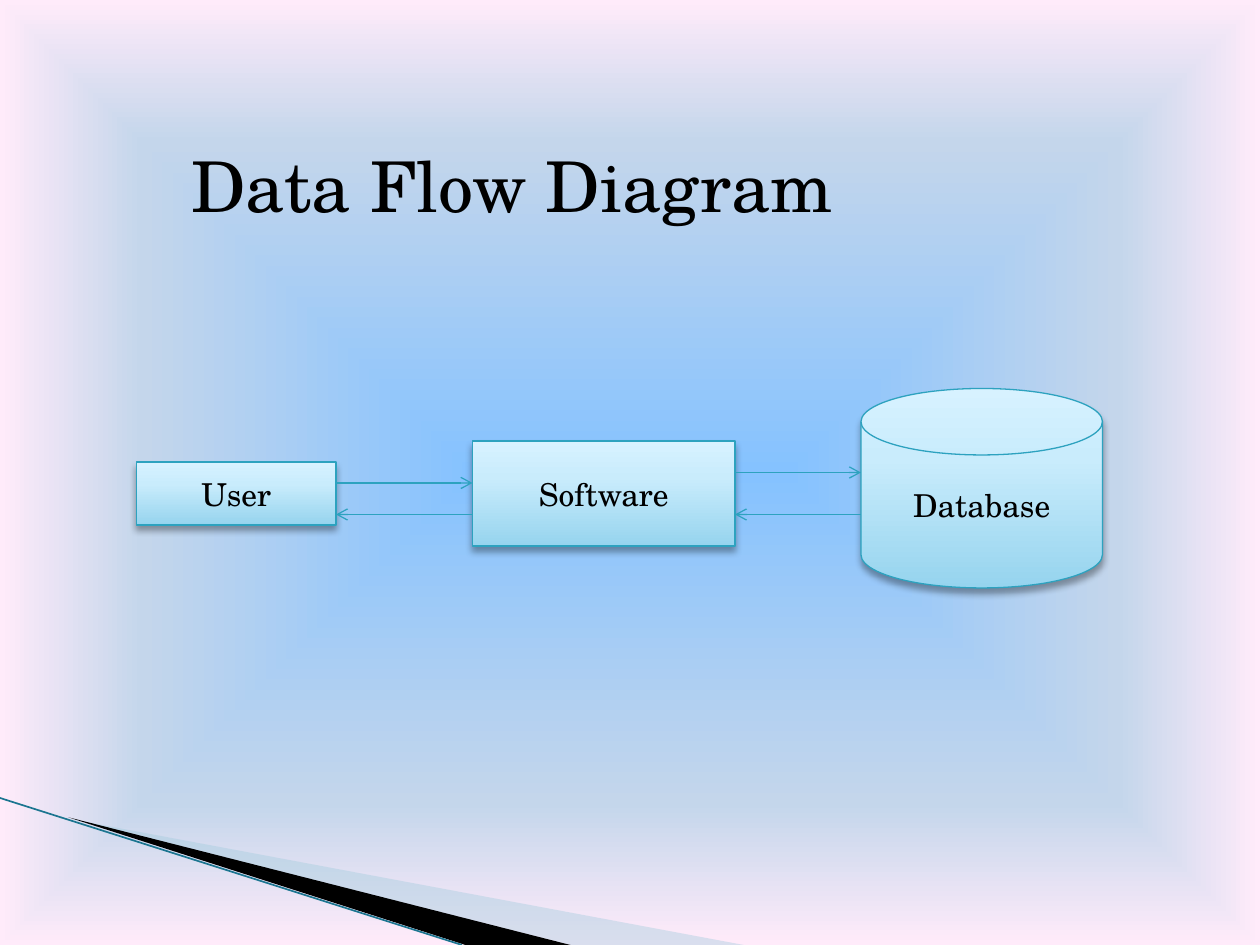
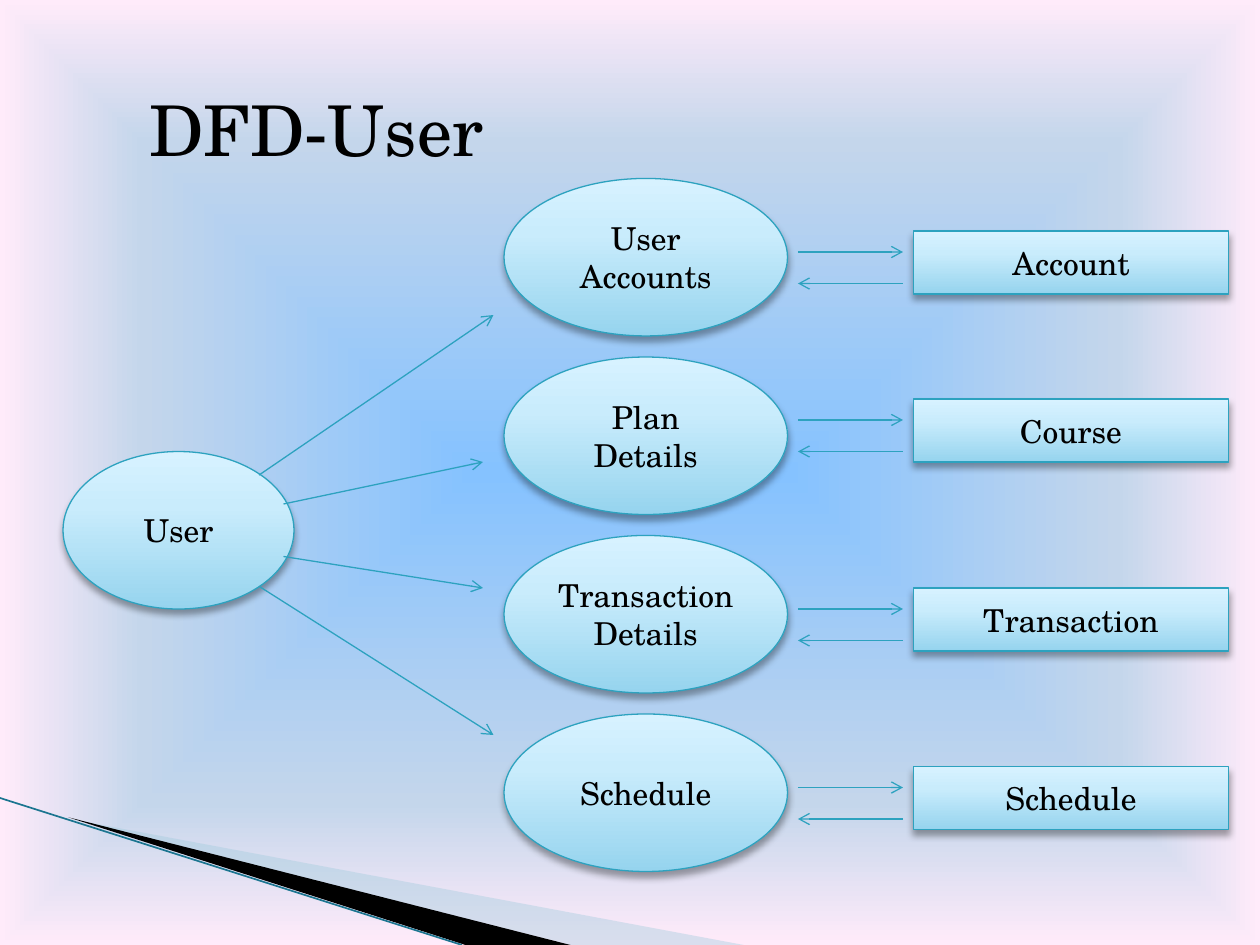
"""Build two data flow diagram slides."""
from lxml import etree
from pptx import Presentation
from pptx.dml.color import RGBColor
from pptx.enum.shapes import MSO_CONNECTOR, MSO_SHAPE
from pptx.enum.text import MSO_ANCHOR, MSO_AUTO_SIZE, PP_ALIGN
from pptx.oxml.ns import qn
from pptx.util import Pt

RECT, ELLIPSE = MSO_SHAPE.RECTANGLE, MSO_SHAPE.OVAL
DISK = MSO_SHAPE.FLOWCHART_MAGNETIC_DISK
STRAIGHT = MSO_CONNECTOR.STRAIGHT
LEFT, CENTER = PP_ALIGN.LEFT, PP_ALIGN.CENTER
TOP, MIDDLE = MSO_ANCHOR.TOP, MSO_ANCHOR.MIDDLE
NO_AUTOFIT = MSO_AUTO_SIZE.NONE

FONT = "TeX Gyre Schola"
BLACK = RGBColor(0x00, 0x00, 0x00)
TEAL = RGBColor(0x2D, 0xA2, 0xBF)
DARK_TEAL = RGBColor(0x1B, 0x75, 0x90)
PALE_BLUE = RGBColor(0xA0, 0xCB, 0xDC)
BACKGROUND = [(0, RGBColor(0x85, 0xC2, 0xFF)), (70, RGBColor(0xC4, 0xD6, 0xEB)),
              (100, RGBColor(0xFF, 0xEB, 0xFA))]
NODE_FILL = [(0, RGBColor(0x96, 0xD4, 0xEE)), (65, RGBColor(0xC9, 0xEC, 0xFC)),
             (100, RGBColor(0xD7, 0xF2, 0xFF))]

WEDGES = [
    ([(40, 468), (425, 540), (326, 540)], PALE_BLUE, 40),
    ([(39, 467), (326, 540), (266, 540)], BLACK, 100),
]
EDGE_LINE = (0, 456, 264, 540)

OVERVIEW_TITLE = ("Data Flow Diagram", (102, 78, 390, 55))
OVERVIEW_NODES = [
    ("User", RECT, (78, 264, 114, 36)),
    ("Software", RECT, (270, 252, 150, 60)),
    ("Database", DISK, (492, 222, 138, 114)),
]
REQUEST_Y = [276, 270]
REPLY_Y = 294

USER_TITLE = ("DFD-User", (78, 46, 588, 55))
USER_NODE = ("User", ELLIPSE, (36, 258, 132, 90))
FLOWS = [
    ("User Accounts", "Account", 132, (148, 271.5, 282, 180)),
    ("Plan Details", "Course", 228, (162, 288, 276, 264)),
    ("Transaction Details", "Transaction", 336, (162, 318, 276, 336)),
    ("Schedule", "Schedule", 438, (148, 335, 282, 420)),
]
PROCESS_TOP, PROCESS_STEP = 102, 102


def add_xml(parent, tag, **attrs):
    return etree.SubElement(parent, qn(tag), {k: str(v) for k, v in attrs.items()})


def write(tf, text, size=18, color=BLACK, align=CENTER, anchor=MIDDLE):
    tf.word_wrap = True
    tf.auto_size = NO_AUTOFIT
    tf.vertical_anchor = anchor
    p = tf.paragraphs[0]
    p.alignment = align
    r = p.add_run()
    r.text = text
    r.font.name, r.font.size, r.font.color.rgb = FONT, Pt(size), color


def fill_gradient(fill, owner, stops):
    fill.gradient()
    grad = owner.find(".//" + qn("a:gradFill"))
    for child in list(grad):
        grad.remove(child)
    gs_list = add_xml(grad, "a:gsLst")
    for pos, color in stops:
        gs = add_xml(gs_list, "a:gs", pos=pos * 1000)
        add_xml(gs, "a:srgbClr", val=color)
    return grad


def set_background(master):
    grad = fill_gradient(master.background.fill, master.element, BACKGROUND)
    path = add_xml(grad, "a:path", path="shape")
    add_xml(path, "a:fillToRect", l=50000, t=50000, r=50000, b=50000)


def add_line(s, ends, color=TEAL, width=0.75, arrow=True):
    c = s.shapes.add_connector(STRAIGHT, *map(Pt, ends))
    c.line.color.rgb, c.line.width = color, Pt(width)
    sp_pr = c.element.spPr
    if arrow:
        add_xml(sp_pr.find(qn("a:ln")), "a:tailEnd", type="arrow")
    add_xml(sp_pr, "a:effectLst")


def add_exchange(s, left, right, request_y, reply_y):
    add_line(s, (left, request_y, right, request_y))
    add_line(s, (right, reply_y, left, reply_y))


def add_node(s, text, kind, box):
    sp = s.shapes.add_shape(kind, *map(Pt, box))
    sp_pr = sp.element.spPr
    grad = fill_gradient(sp.fill, sp_pr, NODE_FILL)
    add_xml(grad, "a:lin", ang=270 * 60000, scaled=0)
    sp.line.color.rgb, sp.line.width = TEAL, Pt(0.75)
    sp.shadow.inherit = False
    shadow = add_xml(sp_pr.find(qn("a:effectLst")), "a:outerShdw", blurRad=Pt(4),
                     dist=Pt(3), dir=90 * 60000, rotWithShape=0)
    add_xml(add_xml(shadow, "a:srgbClr", val=BLACK), "a:alpha", val=35000)
    write(sp.text_frame, text)


def add_wedge(s, points, color, opacity):
    builder = s.shapes.build_freeform(*points[0], scale=Pt(1))
    builder.add_line_segments(points[1:], close=True)
    sp = builder.convert_to_shape()
    sp.shadow.inherit = False
    sp.line.fill.background()
    sp.fill.solid()
    sp.fill.fore_color.rgb = color
    if opacity < 100:
        clr = sp.element.spPr.find(qn("a:solidFill")).find(qn("a:srgbClr"))
        add_xml(clr, "a:alpha", val=opacity * 1000)


def add_slide(prs, title, box):
    s = prs.slides.add_slide(prs.slide_layouts.get_by_name("Title Only"))
    for wedge in WEDGES:
        add_wedge(s, *wedge)
    add_line(s, EDGE_LINE, color=DARK_TEAL, width=0.95, arrow=False)
    sp = s.shapes.title
    sp.left, sp.top, sp.width, sp.height = map(Pt, box)
    write(sp.text_frame, title, size=40, align=LEFT, anchor=TOP)
    return s


def build_overview(prs):
    s = add_slide(prs, *OVERVIEW_TITLE)
    for node in OVERVIEW_NODES:
        add_node(s, *node)
    boxes = [box for _, _, box in OVERVIEW_NODES]
    for source, target, y in zip(boxes, boxes[1:], REQUEST_Y):
        add_exchange(s, source[0] + source[2], target[0], y, REPLY_Y)


def build_user_flows(prs):
    s = add_slide(prs, *USER_TITLE)
    add_node(s, *USER_NODE)
    for i, (process, store, store_top, user_arrow) in enumerate(FLOWS):
        add_node(s, process, ELLIPSE, (288, PROCESS_TOP + i * PROCESS_STEP, 162, 90))
        add_node(s, store, RECT, (522, store_top, 180, 36))
        add_line(s, user_arrow)
        add_exchange(s, 456, 516, store_top + 12, store_top + 30)


def main():
    prs = Presentation()
    prs.slide_width, prs.slide_height = Pt(720), Pt(540)
    set_background(prs.slide_master)
    build_overview(prs)
    build_user_flows(prs)
    prs.save("out.pptx")


if __name__ == "__main__":
    main()
